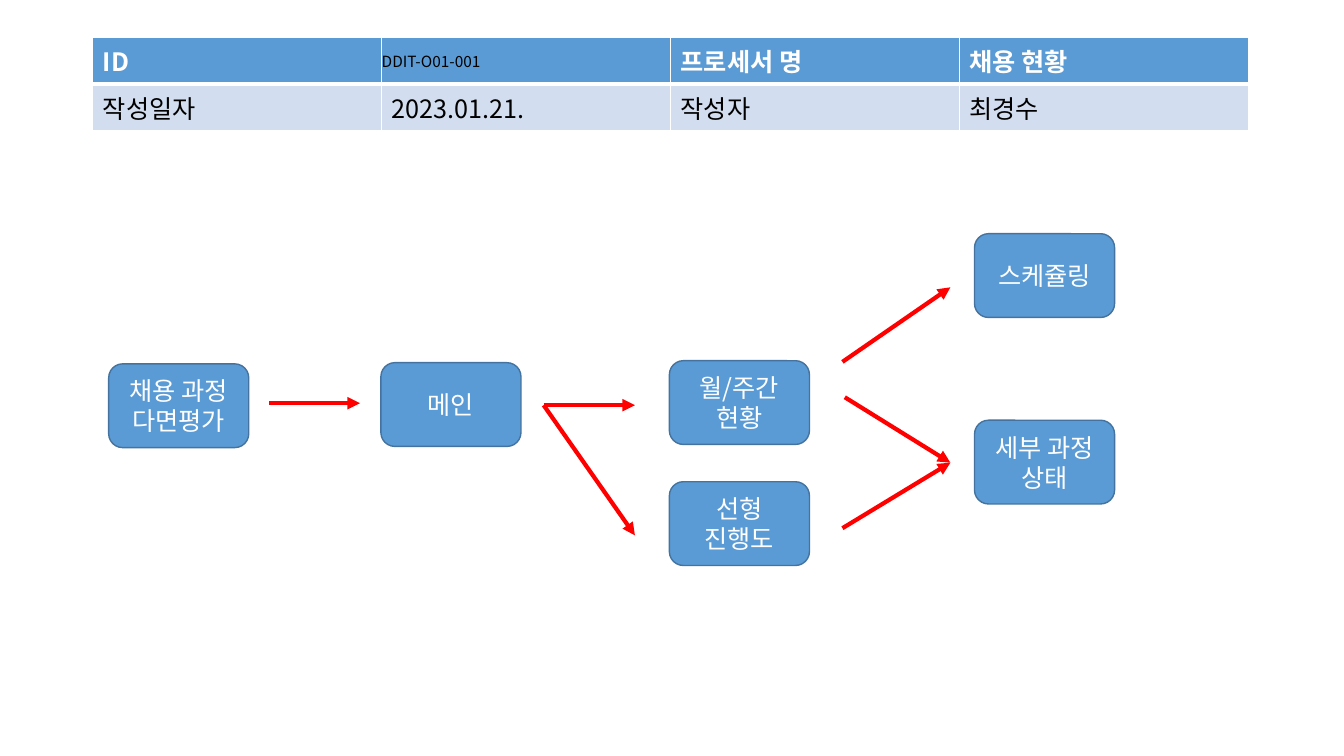
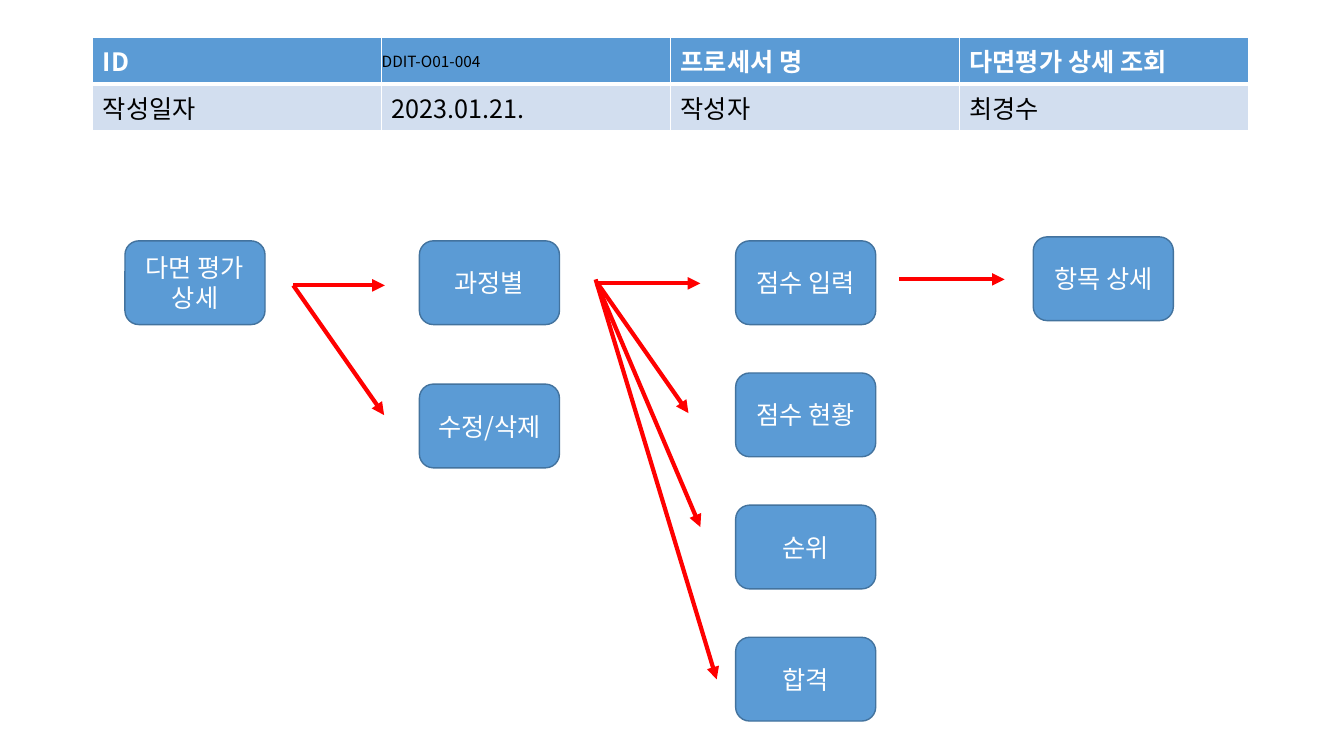
import dataclasses

import lxml.etree
import pptx
import pptx.dml.color
import pptx.enum.shapes
import pptx.enum.text
import pptx.oxml
import pptx.oxml.ns
import pptx.slide
import pptx.table
import pptx.text.text
import pptx.util

Cm = pptx.util.Cm
Pt = pptx.util.Pt
RGBColor = pptx.dml.color.RGBColor
qn = pptx.oxml.ns.qn

# Shared look
FONT = "Noto Sans CJK KR"
BLUE = RGBColor(0x5B, 0x9B, 0xD5)
DARK_BLUE = RGBColor(0x43, 0x73, 0x9E)
PALE_BLUE = RGBColor(0xD2, 0xDE, 0xEF)
RED = RGBColor(0xFF, 0x00, 0x00)
WHITE = RGBColor(0xFF, 0xFF, 0xFF)
BLACK = RGBColor(0x00, 0x00, 0x00)

NODE_W, NODE_H = 3.53, 2.11
TABLE_X, TABLE_Y, COLUMN_W = 2.34, 0.94, 7.28
ROW_HEIGHTS = (1.09, 1.04)


@dataclasses.dataclass(frozen=True)
class Node:
    """Process step; lengths in centimetres."""
    text: str
    x: float
    y: float


@dataclasses.dataclass(frozen=True)
class Arrow:
    """Flow between steps; lengths in centimetres."""
    x1: float
    y1: float
    x2: float
    y2: float


@dataclasses.dataclass(frozen=True)
class Process:
    code: str
    name: str
    nodes: tuple[Node, ...]
    arrows: tuple[Arrow, ...]


# Left edges of the step columns
A1, A2, A3, A4 = 2.74, 9.6, 16.87, 24.56
B1, B2, B3, B4 = 3.15, 10.57, 18.54, 26.04
SCORE_Y, SCORE_STEP = 6.07, 3.33
SCORE_STEPS = ("점수 입력", "점수 현황", "순위", "합격")

PROCESSES = (
    Process(
        "DDIT-O01-001", "채용 현황",
        nodes=(
            Node("채용 과정\n다면평가", A1, 9.17),
            Node("메인", A2, 9.14),
            Node("월/주간 현황", A3, 9.09),
            Node("선형 진행도", A3, 12.14),
            Node("스케쥴링", A4, 5.89),
            Node("세부 과정 상태", A4, 10.59),
        ),
        arrows=(
            Arrow(6.78, 10.16, 9.07, 10.16),
            Arrow(13.7, 10.21, 16, 10.21),
            Arrow(13.7, 10.21, 16, 13.49),
            Arrow(21.23, 9.12, 23.95, 7.24),
            Arrow(21.29, 10.01, 23.95, 11.66),
            Arrow(21.23, 13.31, 23.95, 11.66),
        ),
    ),
    Process(
        "DDIT-O01-004", "다면평가 상세 조회",
        nodes=(
            Node("다면 평가\n상세", B1, SCORE_Y),
            Node("과정별", B2, SCORE_Y),
            Node("수정/삭제", B2, 9.68),
            *(Node(step, B3, SCORE_Y + i * SCORE_STEP)
              for i, step in enumerate(SCORE_STEPS)),
            Node("항목 상세", B4, 5.97),
        ),
        arrows=(
            Arrow(7.39, 7.19, 9.7, 7.19),
            Arrow(7.39, 7.19, 9.68, 10.46),
            Arrow(15, 7.14, 17.65, 7.14),
            Arrow(15.06, 7.14, 17.35, 10.41),
            Arrow(15.04, 7.14, 17.65, 13.28),
            Arrow(15.01, 7.04, 18.06, 17.12),
            Arrow(22.66, 7.04, 25.32, 7.04),
        ),
    ),
)


def write_text(tf: pptx.text.text.TextFrame, text: str, *, size: float = 18,
               color: RGBColor = WHITE, bold: bool = False,
               align: pptx.enum.text.PP_ALIGN = pptx.enum.text.PP_ALIGN.LEFT) -> None:
    """Write one formatted paragraph for each line of text."""
    for i, line in enumerate(text.split("\n")):
        p = tf.add_paragraph() if i else tf.paragraphs[0]
        p.alignment = align
        r = p.add_run()
        r.text = line
        r.font.size = Pt(size)
        r.font.bold = bold
        r.font.color.rgb = color
        r.font.name = FONT
        rpr = r._r.get_or_add_rPr()
        lxml.etree.SubElement(rpr, qn("a:ea")).set("typeface", FONT)


def set_borders(cell: pptx.table._Cell, bottom: float) -> None:
    """Draw white cell borders; call before the fill is set."""
    tcpr = cell._tc.get_or_add_tcPr()
    for side, width in (("L", 1), ("R", 1), ("T", 1), ("B", bottom)):
        ln = lxml.etree.SubElement(tcpr, qn(f"a:ln{side}"))
        ln.set("w", str(Pt(width)))
        fill = lxml.etree.SubElement(ln, qn("a:solidFill"))
        lxml.etree.SubElement(fill, qn("a:srgbClr")).set("val", str(WHITE))


def add_header_table(s: pptx.slide.Slide, process: Process) -> None:
    rows = (("ID", process.code, "프로세서 명", process.name),
            ("작성일자", "2023.01.21.", "작성자", "최경수"))
    table = s.shapes.add_table(2, 4, Cm(TABLE_X), Cm(TABLE_Y),
                               Cm(4 * COLUMN_W), Cm(sum(ROW_HEIGHTS))).table
    for column in table.columns:
        column.width = Cm(COLUMN_W)
    for i, (values, height) in enumerate(zip(rows, ROW_HEIGHTS)):
        table.rows[i].height = Cm(height)
        head = i == 0
        for j, value in enumerate(values):
            cell = table.cell(i, j)
            set_borders(cell, bottom=3 if head else 1)
            cell.fill.solid()
            cell.fill.fore_color.rgb = BLUE if head else PALE_BLUE
            if value == process.code:
                # The code sits flush with the cell edge
                cell.vertical_anchor = pptx.enum.text.MSO_ANCHOR.MIDDLE
                cell.margin_left = cell.margin_right = 0
                cell.margin_top = cell.margin_bottom = 0
                write_text(cell.text_frame, value, size=11, color=BLACK)
            else:
                write_text(cell.text_frame, value, bold=head,
                           color=WHITE if head else BLACK)


def add_node(s: pptx.slide.Slide, node: Node) -> None:
    sp = s.shapes.add_shape(pptx.enum.shapes.MSO_SHAPE.ROUNDED_RECTANGLE,
                            Cm(node.x), Cm(node.y), Cm(NODE_W), Cm(NODE_H))
    sp.shadow.inherit = False
    sp.fill.solid()
    sp.fill.fore_color.rgb = BLUE
    sp.line.color.rgb = DARK_BLUE
    sp.line.width = Pt(1)
    tf = sp.text_frame
    tf.word_wrap = True
    tf.vertical_anchor = pptx.enum.text.MSO_ANCHOR.MIDDLE
    write_text(tf, node.text, align=pptx.enum.text.PP_ALIGN.CENTER)


def add_arrow(s: pptx.slide.Slide, arrow: Arrow) -> None:
    line = s.shapes.add_connector(pptx.enum.shapes.MSO_CONNECTOR.STRAIGHT,
                                  Cm(arrow.x1), Cm(arrow.y1),
                                  Cm(arrow.x2), Cm(arrow.y2))
    line.line.color.rgb = RED
    line.line.width = Pt(3)
    ln = line.line._get_or_add_ln()
    lxml.etree.SubElement(ln, qn("a:tailEnd")).set("type", "triangle")
    lxml.etree.SubElement(line._element.spPr, qn("a:effectLst"))


def main() -> None:
    prs = pptx.Presentation()
    prs.slide_width, prs.slide_height = Cm(33.87), Cm(19.05)
    blank = prs.slide_layouts.get_by_name("Blank")
    for process in PROCESSES:
        s = prs.slides.add_slide(blank)
        add_header_table(s, process)
        for arrow in process.arrows:
            add_arrow(s, arrow)
        for node in process.nodes:
            add_node(s, node)
    prs.save("out.pptx")


if __name__ == "__main__":
    main()
